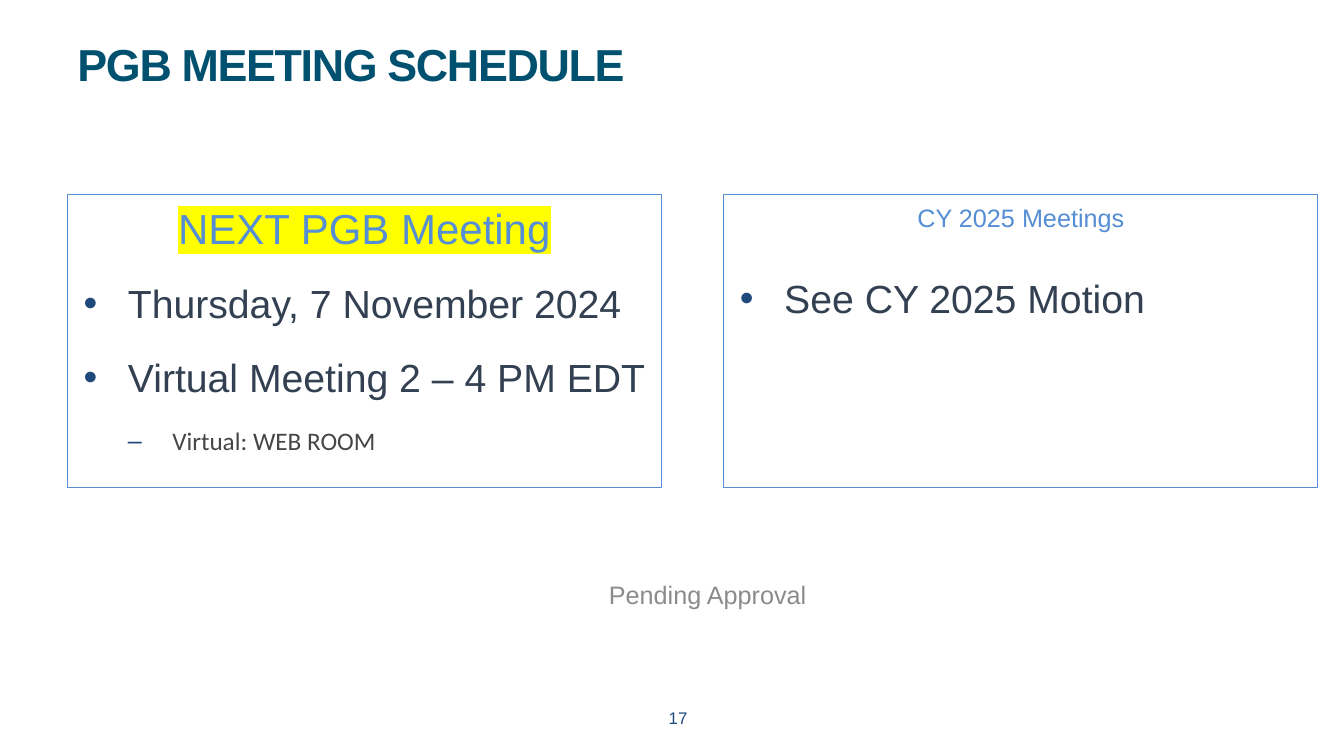
from lxml import etree
from pptx import Presentation
from pptx.dml.color import RGBColor
from pptx.enum import shapes, text
from pptx.oxml import ns
from pptx.util import Inches, Pt

COLORS = {
    "title": "005170", "frame": "558ED5", "heading": "558ED5",
    "body": "334052", "detail": "464646", "bullet": "1F497D",
    "number": "1F497D", "pending": "8B8B8B", "highlight": "FFFF00",
}


def add_color(parent, tag, color):
    holder = etree.SubElement(parent, ns.qn(tag))
    etree.SubElement(holder, ns.qn("a:srgbClr"), val=COLORS[color])


def write_line(paragraph, words, size, color, font="Arial", bold=False,
               align=None, bullet=None, level=0, before=0, after=0,
               highlight=None):
    props = paragraph._p.get_or_add_pPr()
    if bullet:
        left = 0.5 + 0.44 * level
        props.set("marL", str(Inches(left)))
        props.set("indent", str(Inches(-0.44)))
        add_color(props, "a:buClr", "bullet")
        etree.SubElement(props, ns.qn("a:buFont"), typeface="Arial")
        etree.SubElement(props, ns.qn("a:buChar"), char=bullet)
    formats = {"level": level, "alignment": align,
               "space_before": Pt(before), "space_after": Pt(after)}
    for key, value in formats.items():
        setattr(paragraph, key, value)
    run = paragraph.add_run()
    run.text = words
    if highlight:
        add_color(run._r.get_or_add_rPr(), "a:highlight", highlight)
    for key, value in {"size": Pt(size), "name": font, "bold": bold}.items():
        setattr(run.font, key, value)
    run.font.color.rgb = RGBColor.from_string(COLORS[color])
    return run


deck = Presentation()
deck.slide_width, deck.slide_height = Inches(13.33), Inches(7.5)
slide = deck.slides.add_slide(deck.slide_layouts[6])
center = text.PP_ALIGN.CENTER

# Title
title = slide.shapes.add_textbox(Inches(0.67), Inches(0.42),
                                 Inches(12), Inches(0.89)).text_frame
title.word_wrap = True
title_run = write_line(title.paragraphs[0], "PGB MEETING SCHEDULE", 32,
                       "title", bold=True)
title.paragraphs[0].line_spacing = 0.8
title_run._r.get_or_add_rPr().set("spc", "-100")

# Framed meeting panels
heading = {"color": "heading", "align": center, "after": 12}
item = {"size": 28, "color": "body", "bullet": "•", "before": 7, "after": 12}
panels = [
    (0.67, [
        {"words": "NEXT PGB Meeting", "size": 30, "highlight": "highlight",
         **heading},
        {"words": "Thursday, 7 November 2024", **item},
        {"words": "Virtual Meeting 2 – 4 PM EDT", **item},
        {"words": "Virtual: WEB ROOM", "size": 18, "color": "detail",
         "font": "Calibri", "bullet": "–", "level": 1, "before": 6,
         "after": 12},
    ]),
    (7.18, [{"words": "CY 2025 Meetings", "size": 18, **heading}]),
]
for left, lines in panels:
    panel = slide.shapes.add_shape(shapes.MSO_SHAPE.RECTANGLE, Inches(left),
                                   Inches(1.93), Inches(5.89), Inches(2.91))
    panel.shadow.inherit = False
    panel.fill.background()
    panel.line.color.rgb = RGBColor.from_string(COLORS["frame"])
    panel.line.width = Pt(0.75)
    frame = panel.text_frame
    frame_formats = {"word_wrap": True, "margin_top": Inches(0.08),
                     "vertical_anchor": text.MSO_ANCHOR.TOP}
    for key, value in frame_formats.items():
        setattr(frame, key, value)
    for index, line in enumerate(lines):
        paragraph = frame.add_paragraph() if index else frame.paragraphs[0]
        write_line(paragraph, **line)

# Page number, approval note and 2025 item
notes = [
    ((5.17, 6.97, 3.11, 0.4), True,
     {"words": "17", "size": 12, "color": "number", "align": center}),
    ((5.94, 5.7, 2.18, 0.4), False,
     {"words": "Pending Approval", "size": 18, "color": "pending"}),
    ((7.18, 2.67, 5.04, 0.55), True,
     {"words": "See CY 2025 Motion", **item, "before": 0}),
]
for place, wrap, line in notes:
    note = slide.shapes.add_textbox(*map(Inches, place)).text_frame
    note.word_wrap = wrap
    write_line(note.paragraphs[0], **line)

deck.save("out.pptx")
